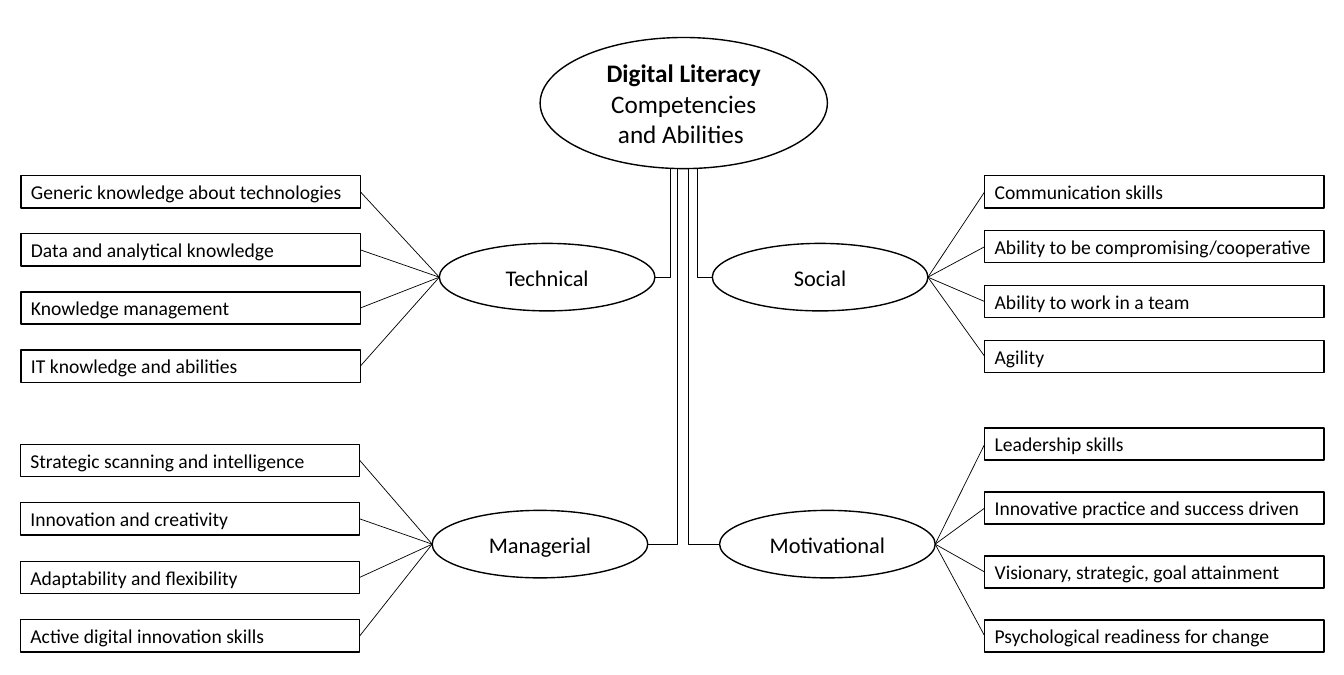
from lxml import etree
from pptx import Presentation
from pptx.dml import color
from pptx.enum import shapes, text
from pptx.oxml import ns
from pptx.util import Pt

COLORS = {"ink": "000000", "paper": "FFFFFF"}
FONT = "Calibri"
ROOT_BOX = (385.8, 26.8, 205.2, 93.6)
BRANCH_WIDTH, BRANCH_HEIGHT = 154, 48.2
SKILL_WIDTH, SKILL_HEIGHT = 242.4, 23

# name, (branch left, top), (list left, top, pitch), stem x, skills
BRANCHES = [
    ("Technical", (313.8, 173.8), (15, 125.4, 41.5), 478.8,
     ["Generic knowledge about technologies", "Data and analytical knowledge",
      "Knowledge management", "IT knowledge and abilities"]),
    ("Managerial", (308.7, 364.4), (14.6, 317.2, 41.75), 483.8,
     ["Strategic scanning and intelligence", "Innovation and creativity",
      "Adaptability and flexibility", "Active digital innovation skills"]),
    ("Social", (508.8, 173.8), (703.4, 125.4, 39.2), 498.2,
     ["Communication skills", "Ability to be compromising/cooperative",
      "Ability to work in a team", "Agility"]),
    ("Motivational", (514, 364.4), (703.4, 305.5, 45.7), 491.8,
     ["Leadership skills", "Innovative practice and success driven",
      "Visionary, strategic, goal attainment", "Psychological readiness for change"]),
]


def rgb(name):
    return color.RGBColor.from_string(COLORS[name])


def write_text(shape, *spans, size, align=text.PP_ALIGN.LEFT):
    """Fill the shape with one paragraph of (words, bold) spans."""
    frame = shape.text_frame
    frame.word_wrap = True
    frame.auto_size = text.MSO_AUTO_SIZE.NONE
    frame.vertical_anchor = text.MSO_ANCHOR.MIDDLE
    para = frame.paragraphs[0]
    para.alignment = align
    for words, bold in spans:
        span = para.add_run()
        span.text = words
        span.font.name = FONT
        span.font.size = Pt(size)
        span.font.bold = bold
        span.font.color.rgb = rgb("ink")


def add_outlined(page, kind, box):
    shape = page.shapes.add_shape(kind, *map(Pt, box))
    shape.shadow.inherit = False
    shape.fill.solid()
    shape.fill.fore_color.rgb = rgb("paper")
    shape.line.color.rgb = rgb("ink")
    shape.line.width = Pt(1)
    return shape


def add_root(page, box):
    """Draw the top ellipse and lay the slide title over its inner area."""
    left, top, width, height = box
    ellipse = add_outlined(page, shapes.MSO_SHAPE.OVAL, box)
    ellipse.fill.background()
    title = page.shapes.title
    inner_width, inner_height = width * 0.7, height * 0.7
    title.left = Pt(left + (width - inner_width) / 2)
    title.top = Pt(top + (height - inner_height) / 2)
    title.width, title.height = Pt(inner_width), Pt(inner_height)
    write_text(title, ("Digital Literacy", True), (" Competencies and Abilities ", False),
               size=18, align=text.PP_ALIGN.CENTER)


def add_spoke(page, skill, side, hub):
    """Join a side of a skill box to the hub point on its branch ellipse."""
    spoke = page.shapes.add_connector(shapes.MSO_CONNECTOR.STRAIGHT, 0, 0, *map(Pt, hub))
    spoke.begin_connect(skill, side)
    spoke.line.color.rgb = rgb("ink")
    spoke.line.width = Pt(0.5)
    etree.SubElement(spoke._element.spPr, ns.qn("a:effectLst"))


def add_stem(page, x, top, end):
    """Draw the line that drops from the root and turns to a branch."""
    builder = page.shapes.build_freeform(Pt(x), Pt(top))
    builder.add_line_segments([(Pt(x), Pt(end[1])), tuple(map(Pt, end))], close=False)
    stem = builder.convert_to_shape()
    stem.shadow.inherit = False
    stem.fill.background()
    stem.line.color.rgb = rgb("ink")
    stem.line.width = Pt(0.5)


def add_branch(page, name, corner, column, stem_x, skills):
    left, top = corner
    list_left, list_top, pitch = column
    on_left = list_left < left
    middle = top + BRANCH_HEIGHT / 2
    ends = [(left, middle), (left + BRANCH_WIDTH, middle)]
    outer, inner = ends if on_left else ends[::-1]

    ellipse = add_outlined(page, shapes.MSO_SHAPE.OVAL,
                           (left, top, BRANCH_WIDTH, BRANCH_HEIGHT))
    write_text(ellipse, (name, False), size=16, align=text.PP_ALIGN.CENTER)
    for row, words in enumerate(skills):
        skill = add_outlined(page, shapes.MSO_SHAPE.RECTANGLE,
                             (list_left, list_top + row * pitch, SKILL_WIDTH, SKILL_HEIGHT))
        write_text(skill, (words, False), size=14)
        add_spoke(page, skill, 3 if on_left else 1, outer)
    add_stem(page, stem_x, ROOT_BOX[1] + ROOT_BOX[3], inner)


def main():
    deck = Presentation()
    deck.slide_width, deck.slide_height = Pt(960), Pt(481.89)
    page = deck.slides.add_slide(deck.slide_layouts.get_by_name("Title Only"))
    add_root(page, ROOT_BOX)
    for branch in BRANCHES:
        add_branch(page, *branch)
    deck.save("out.pptx")


if __name__ == "__main__":
    main()
